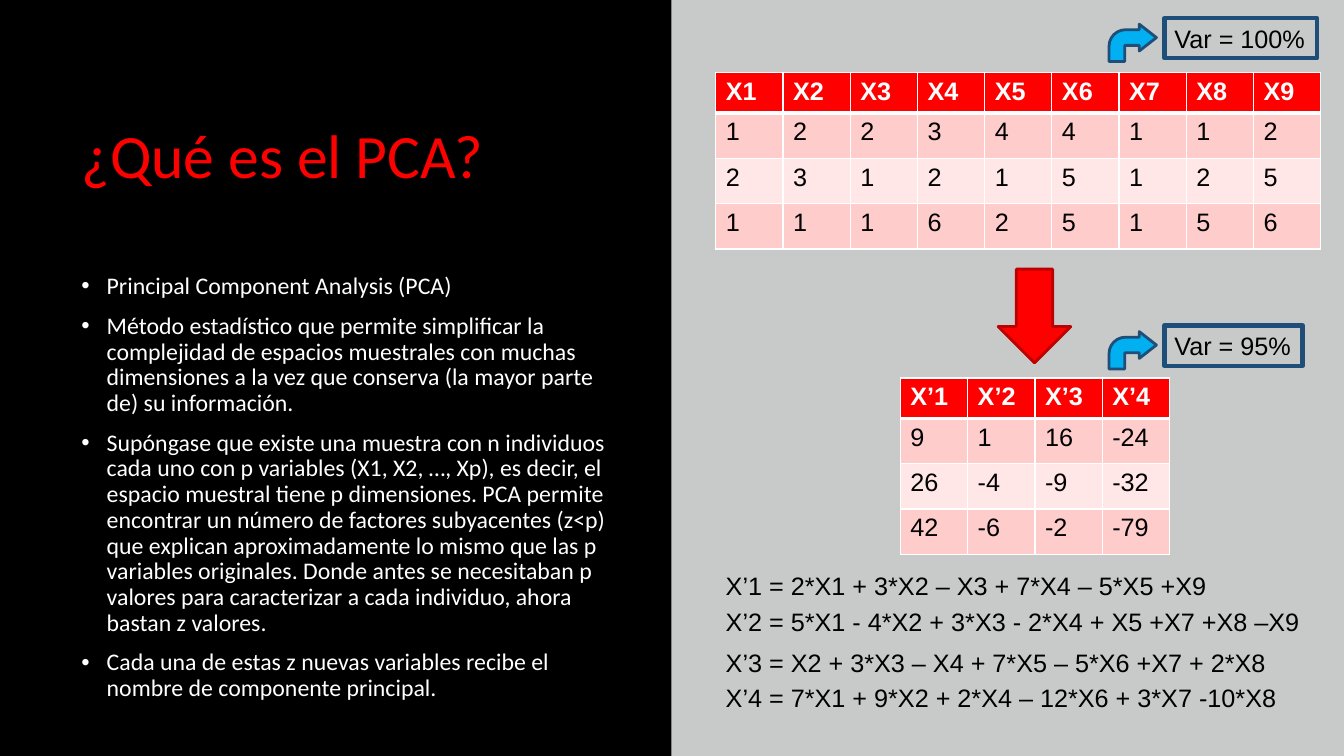
import pptx
import pptx.dml.color
import pptx.enum.shapes
import pptx.enum.text
import pptx.oxml
import pptx.oxml.ns
import pptx.util
from pptx.util import Inches

SHAPE = pptx.enum.shapes.MSO_SHAPE
ANCHOR = pptx.enum.text.MSO_ANCHOR
ALIGN = pptx.enum.text.PP_ALIGN
FIT = pptx.enum.text.MSO_AUTO_SIZE

COLORS = {
    "black": "000000", "white": "FFFFFF", "red": "FF0000", "dark_red": "BD0000",
    "panel": "C8CACA", "blue": "00B0F0", "navy": "1F4E79",
    "band_dark": "FFCCCC", "band_light": "FFE7E7",
}

BULLETS = [
    "Principal Component Analysis (PCA)",
    "Método estadístico que permite simplificar la complejidad de espacios "
    "muestrales con muchas dimensiones a la vez que conserva (la mayor parte "
    "de) su información.",
    "Supóngase que existe una muestra con n individuos cada uno con p variables "
    "(X1, X2, …, Xp), es decir, el espacio muestral tiene p dimensiones. PCA "
    "permite encontrar un número de factores subyacentes (z<p) que explican "
    "aproximadamente lo mismo que las p variables originales. Donde antes se "
    "necesitaban p valores para caracterizar a cada individuo, ahora bastan z "
    "valores.",
    "Cada una de estas z nuevas variables recibe el nombre de componente principal.",
]
ORIGINAL_ROWS = [
    [f"X{i}" for i in range(1, 10)],
    [1, 2, 2, 3, 4, 4, 1, 1, 2],
    [2, 3, 1, 2, 1, 5, 1, 2, 5],
    [1, 1, 1, 6, 2, 5, 1, 5, 6],
]
REDUCED_ROWS = [
    [f"X’{i}" for i in range(1, 5)],
    [9, 1, 16, -24],
    [26, -4, -9, -32],
    [42, -6, -2, -79],
]
FORMULAS = [
    (5.61, "X’1 = 2*X1 + 3*X2 – X3 + 7*X4 – 5*X5 +X9"),
    (5.97, "X’2 = 5*X1 - 4*X2 + 3*X3 - 2*X4 + X5 +X7 +X8 –X9"),
    (6.37, "X’3 = X2 + 3*X3 – X4 + 7*X5 – 5*X6 +X7 + 2*X8"),
    (6.72, "X’4 = 7*X1 + 9*X2 + 2*X4 – 12*X6 + 3*X7 -10*X8"),
]


def rgb(name):
    """Return the named colour as an RGBColor."""
    return pptx.dml.color.RGBColor.from_string(COLORS[name])


def style_text(tf, size, color, font="Arial", bold=False):
    """Format every run of a text frame, aligned left."""
    for p in tf.paragraphs:
        p.alignment = ALIGN.LEFT
        for r in p.runs:
            r.font.size = pptx.util.Pt(size)
            r.font.name = font
            r.font.bold = bold
            r.font.color.rgb = rgb(color)


def add_title(s, text):
    """Place and format the title placeholder."""
    sp = s.shapes.title
    sp.left, sp.top = Inches(0.71), Inches(0.69)
    sp.width, sp.height = Inches(5.41), Inches(1.77)
    tf = sp.text_frame
    tf.text = text
    tf.auto_size = FIT.NONE
    tf.vertical_anchor = ANCHOR.MIDDLE
    tf.paragraphs[0].line_spacing = 0.9
    style_text(tf, 44, "red", "Calibri")


def add_text(s, left, top, width, height, text):
    """Add a wrapping text box and return its text frame."""
    sp = s.shapes.add_textbox(Inches(left), Inches(top), Inches(width), Inches(height))
    tf = sp.text_frame
    tf.word_wrap = True
    tf.text = text
    return tf


def add_bullets(s, left, top, width, height, items):
    """Add a bulleted list with hanging indents."""
    tf = add_text(s, left, top, width, height, "\n".join(items))
    style_text(tf, 17, "white", "Calibri")
    for p in tf.paragraphs:
        p.line_spacing = 0.9
        p.space_before = pptx.util.Pt(10)
        pPr = p._p.get_or_add_pPr()
        pPr.set("marL", str(Inches(0.25)))
        pPr.set("indent", str(-Inches(0.25)))
        font = pptx.oxml.parse_xml(
            f'<a:buFont {pptx.oxml.ns.nsdecls("a")} typeface="Arial"/>')
        bullet = pptx.oxml.parse_xml(
            f'<a:buChar {pptx.oxml.ns.nsdecls("a")} char="•"/>')
        pPr.extend([font, bullet])


def add_shape(s, kind, left, top, width, height, fill=None, line=None, weight=2):
    """Add a preset shape with an optional fill and outline."""
    sp = s.shapes.add_shape(kind, Inches(left), Inches(top), Inches(width), Inches(height))
    sp.shadow.inherit = False
    if fill:
        sp.fill.solid()
        sp.fill.fore_color.rgb = rgb(fill)
    else:
        sp.fill.background()
    if line:
        sp.line.color.rgb = rgb(line)
        sp.line.width = pptx.util.Pt(weight)
    else:
        sp.line.fill.background()
    return sp


def set_borders(cell, top, bottom):
    """Give a cell white borders, with top and bottom weights in points."""
    tcPr = cell._tc.get_or_add_tcPr()
    for i, (side, weight) in enumerate(zip("LRTB", (1, 1, top, bottom))):
        tcPr.insert(i, pptx.oxml.parse_xml(
            f'<a:ln{side} {pptx.oxml.ns.nsdecls("a")} w="{pptx.util.Pt(weight)}">'
            f'<a:solidFill><a:srgbClr val="{COLORS["white"]}"/></a:solidFill>'
            f'</a:ln{side}>'))


def add_data_table(s, left, top, width, rows):
    """Add a table with a red header and banded rows."""
    frame = s.shapes.add_table(len(rows), len(rows[0]), Inches(left), Inches(top),
                               Inches(width), Inches(1.73))
    table = frame.table
    for i, values in enumerate(rows):
        table.rows[i].height = Inches(0.45 if i else 0.38)
        fill = "red" if i == 0 else "band_dark" if i % 2 else "band_light"
        for j, value in enumerate(values):
            cell = table.cell(i, j)
            cell.text = str(value)
            cell.fill.solid()
            cell.fill.fore_color.rgb = rgb(fill)
            style_text(cell.text_frame, 18, "black" if i else "white", bold=i == 0)
            set_borders(cell, 3 if i == 1 else 1, 1 if i else 3)


def add_variance(s, top, width, text):
    """Add a framed variance label with its bent arrow."""
    sp = add_shape(s, SHAPE.RECTANGLE, 11.55, top, width, 0.4, line="navy", weight=3)
    tf = sp.text_frame
    tf.text = text
    tf.word_wrap = False
    tf.vertical_anchor = ANCHOR.TOP
    style_text(tf, 18, "black")
    arrow = add_shape(s, SHAPE.BENT_ARROW, 11, top + 0.06, 0.47, 0.37, "blue", "navy")
    for i, value in enumerate((0.42, 0.36, 0.46, 0.44)):
        arrow.adjustments[i] = value


def main():
    """Build the slide and save it."""
    prs = pptx.Presentation()
    prs.slide_width, prs.slide_height = Inches(13.33), Inches(7.5)
    s = prs.slides.add_slide(prs.slide_layouts[5])
    s.background.fill.solid()
    s.background.fill.fore_color.rgb = rgb("black")

    add_title(s, "¿Qué es el PCA?")
    add_bullets(s, 0.71, 2.67, 5.41, 4.51, BULLETS)
    add_shape(s, SHAPE.RECTANGLE, 6.66, 0, 6.67, 7.5, "panel")
    add_data_table(s, 7.1, 0.72, 6, ORIGINAL_ROWS)
    add_data_table(s, 8.93, 3.75, 2.67, REDUCED_ROWS)
    for top, formula in FORMULAS:
        style_text(add_text(s, 7.1, top, 6, 0.4, formula), 18, "black")
    add_shape(s, SHAPE.DOWN_ARROW, 9.9, 2.67, 0.72, 0.93, "red", "dark_red")
    add_variance(s, 0.18, 1.51, "Var = 100%")
    add_variance(s, 3.23, 1.37, "Var = 95%")
    prs.save("out.pptx")


main()
